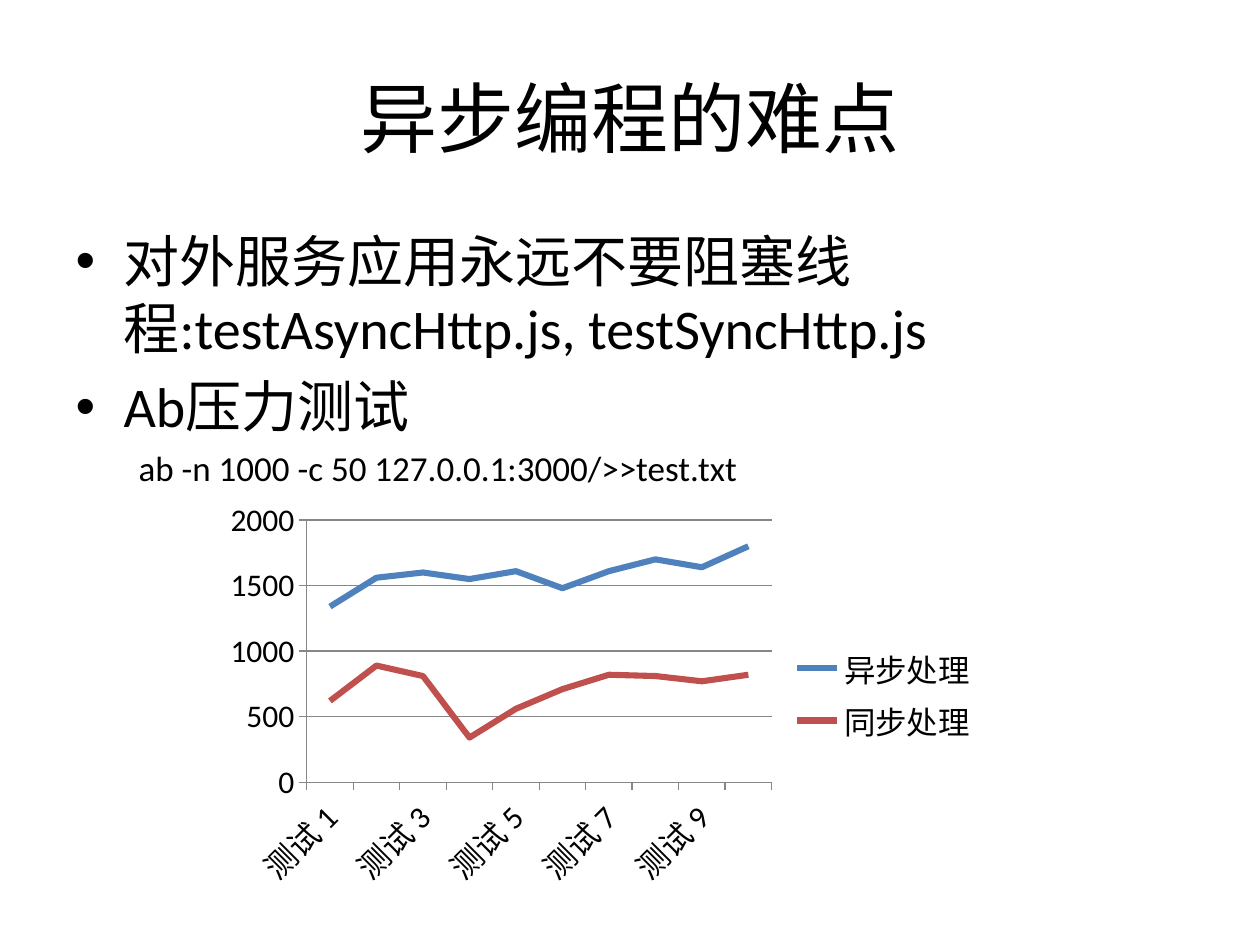
"""Build a slide on asynchronous programming with a load-test line chart."""
from pptx import Presentation
from pptx.chart.data import CategoryChartData
from pptx.dml.color import RGBColor
from pptx.enum.chart import XL_CHART_TYPE, XL_LEGEND_POSITION, XL_TICK_MARK
from pptx.enum.text import MSO_ANCHOR, PP_ALIGN
from pptx.util import Pt
from lxml import etree

LINE = XL_CHART_TYPE.LINE
RIGHT = XL_LEGEND_POSITION.RIGHT
OUTSIDE = XL_TICK_MARK.OUTSIDE
MIDDLE, TOP = MSO_ANCHOR.MIDDLE, MSO_ANCHOR.TOP
CENTER, LEFT = PP_ALIGN.CENTER, PP_ALIGN.LEFT

BLACK = RGBColor(0x00, 0x00, 0x00)
GRAY = RGBColor(0x86, 0x86, 0x86)
BLUE = RGBColor(0x4F, 0x81, 0xBD)
RED = RGBColor(0xC0, 0x50, 0x4D)
FONT = "Calibri"
PX = 914400 // 126
DRAWING = "{http://schemas.openxmlformats.org/drawingml/2006/main}"

TITLE = "异步编程的难点"
BODY = [
    ("对外服务应用永远不要阻塞线程:testAsyncHttp.js, testSyncHttp.js", 32, True),
    ("Ab压力测试", 32, True),
    ("ab -n 1000 -c 50 127.0.0.1:3000/>>test.txt", 20, False),
]
SERIES = [
    ("异步处理", BLUE, (1340, 1560, 1600, 1550, 1610, 1480, 1610, 1700, 1640, 1800)),
    ("同步处理", RED, (620, 890, 810, 340, 560, 710, 820, 810, 770, 820)),
]
CATEGORIES = [f"测试 {number}" for number in range(1, 11)]
TITLE_AREA = (63, 38, 1134, 158)
BODY_AREA = (63, 220, 1134, 624)
CHART_AREA = (215, 493, 776, 403)


def scaled(area):
    return [length * PX for length in area]


def place(box, area):
    box.left, box.top, box.width, box.height = scaled(area)


def style(font, size):
    font.name, font.size = FONT, Pt(size)
    font.color.rgb = BLACK


def set_bullet(para, bulleted):
    properties = para._p.get_or_add_pPr()
    properties.set("marL", str((48 if bulleted else 63) * PX))
    properties.set("indent", str((-48 if bulleted else 0) * PX))
    if bulleted:
        etree.SubElement(properties, DRAWING + "buFont", typeface="Arial")
        etree.SubElement(properties, DRAWING + "buChar", char="•")
    else:
        etree.SubElement(properties, DRAWING + "buNone")


def add_text(page):
    title, body = page.shapes.title, page.placeholders[1]
    place(title, TITLE_AREA)
    title.text_frame.text = TITLE
    title.text_frame.vertical_anchor = MIDDLE
    heading = title.text_frame.paragraphs[0]
    heading.alignment = CENTER
    style(heading.font, 44)

    place(body, BODY_AREA)
    frame = body.text_frame
    frame.vertical_anchor = TOP
    frame.text = "\n".join(text for text, _, _ in BODY)
    for para, (_, size, bulleted) in zip(frame.paragraphs, BODY):
        para.alignment = LEFT
        para.space_before = Pt(size * 0.2)
        set_bullet(para, bulleted)
        style(para.font, size)


def add_line_chart(page):
    data = CategoryChartData()
    data.categories = CATEGORIES
    for name, _, values in SERIES:
        data.add_series(name, values)
    chart = page.shapes.add_chart(LINE, *scaled(CHART_AREA), data).chart
    style(chart.font, 18)
    chart.has_title = False
    chart.has_legend = True
    chart.legend.position = RIGHT
    chart.legend.include_in_layout = False
    chart.plots[0].vary_by_categories = False
    for series, (_, color, _) in zip(chart.plots[0].series, SERIES):
        series.smooth = False
        series.format.line.color.rgb = color
        series.format.line.width = Pt(3.5)
    for axis in (chart.category_axis, chart.value_axis):
        axis.major_tick_mark = OUTSIDE
        axis.format.line.color.rgb = GRAY
    values = chart.value_axis
    values.minimum_scale, values.maximum_scale, values.major_unit = 0, 2000, 500
    values.has_major_gridlines = True
    values.major_gridlines.format.line.color.rgb = GRAY


def main():
    deck = Presentation()
    deck.slide_width, deck.slide_height = 1260 * PX, 945 * PX
    page = deck.slides.add_slide(deck.slide_layouts[1])
    add_text(page)
    add_line_chart(page)
    deck.save("out.pptx")


if __name__ == "__main__":
    main()
